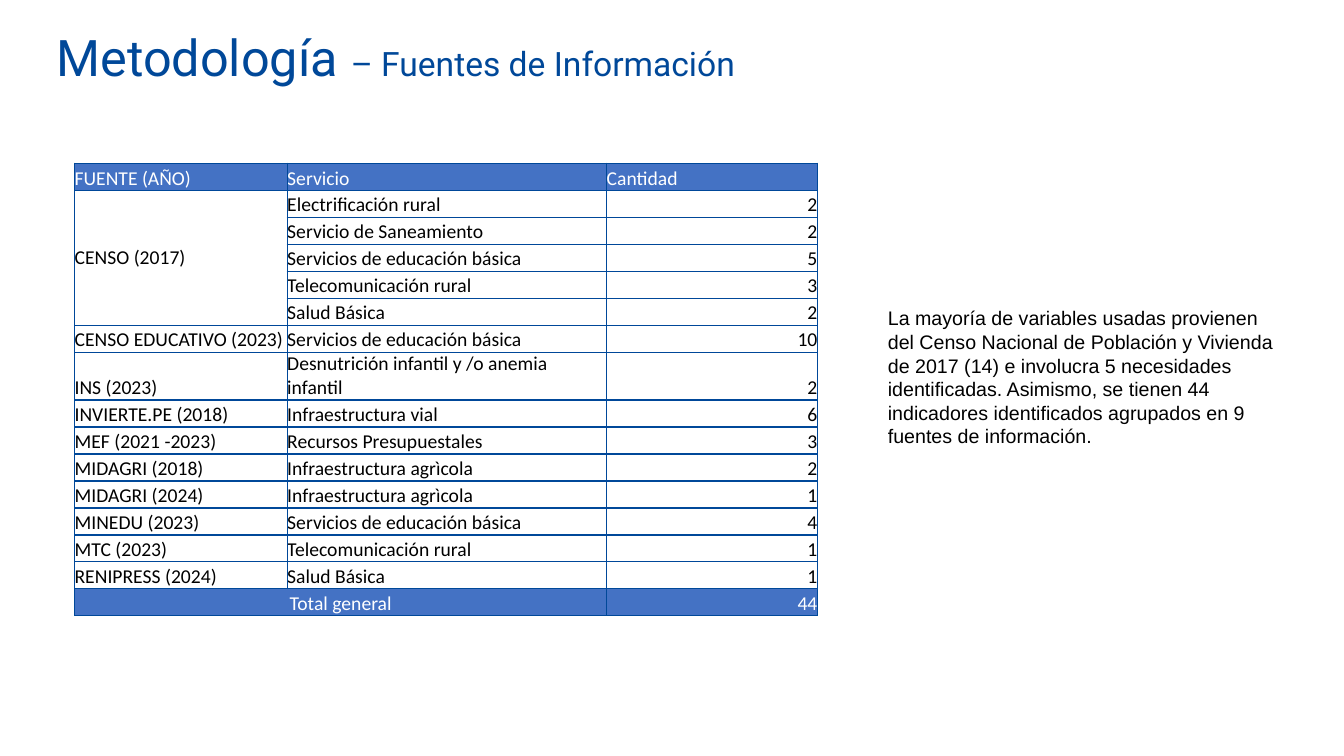
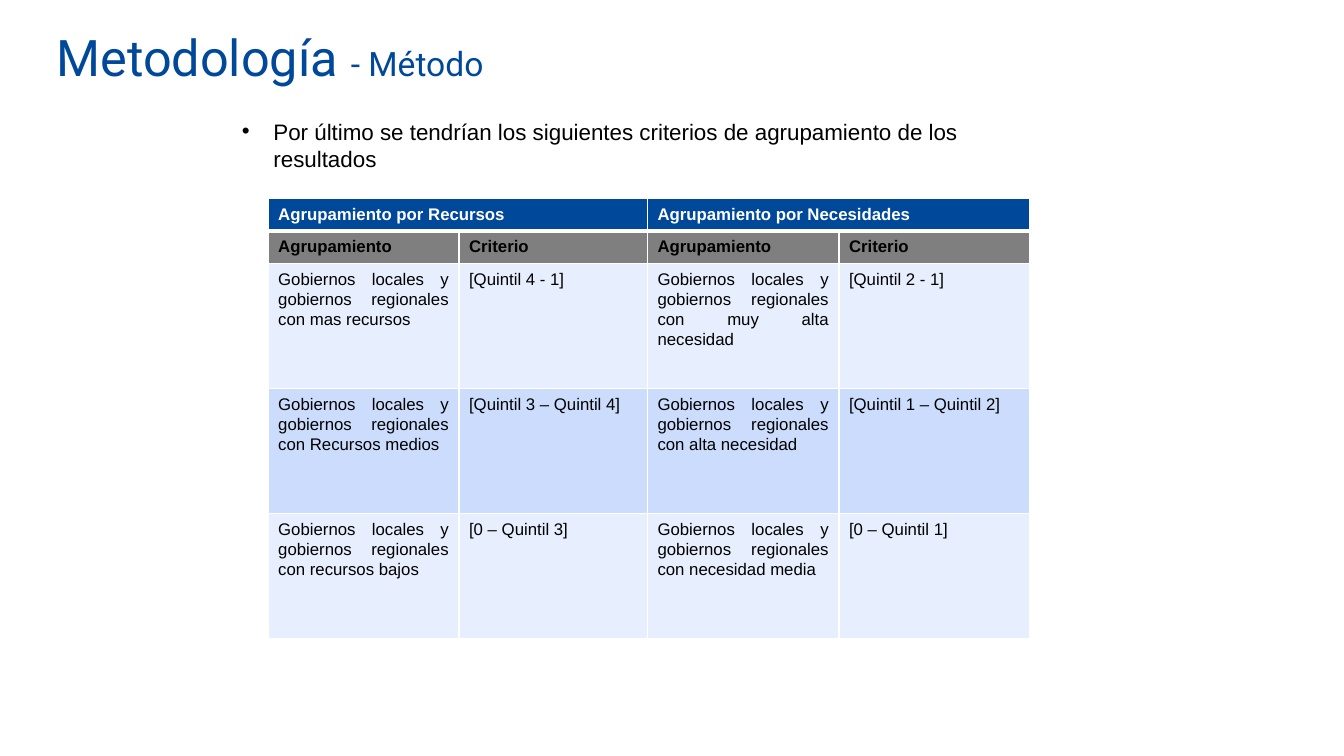
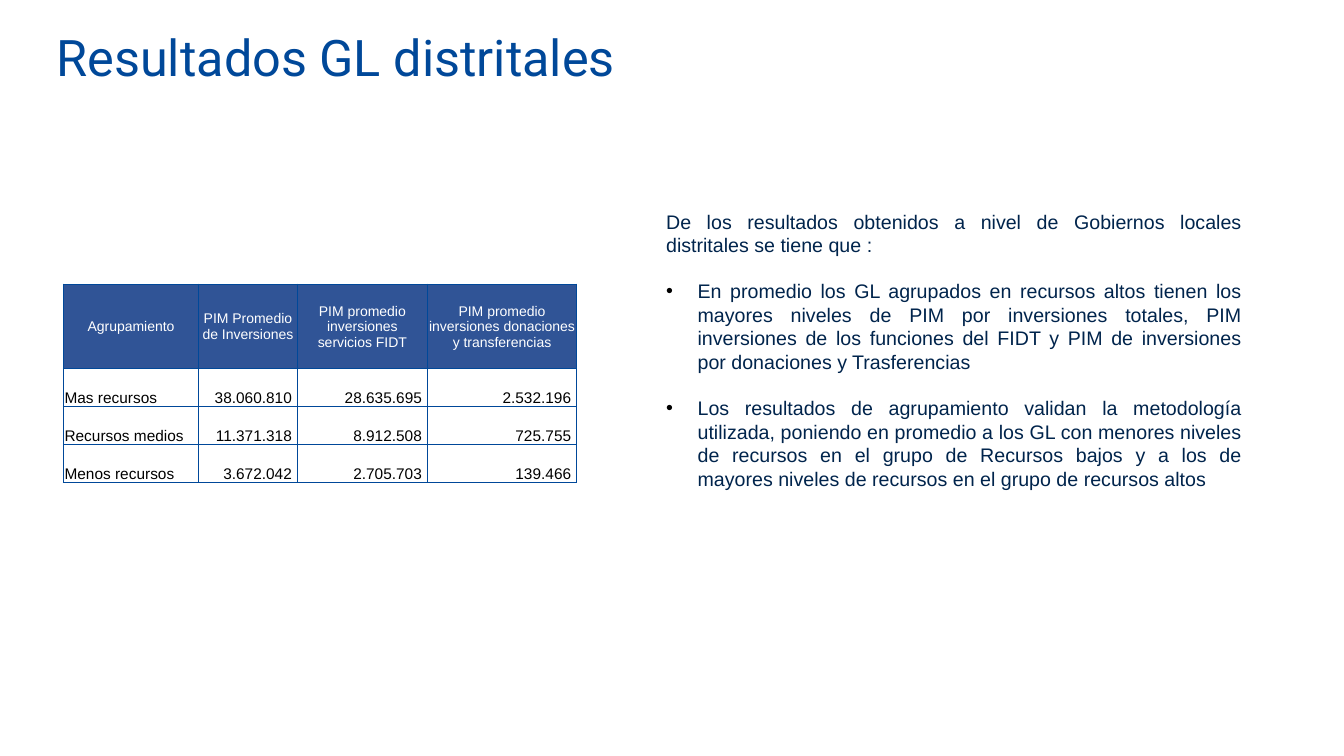
import pptx
import pptx.util
import pptx.dml.color
import pptx.enum.text
import pptx.oxml
import pptx.oxml.ns

Pt = pptx.util.Pt
ALIGN = pptx.enum.text.PP_ALIGN
ANCHOR = pptx.enum.text.MSO_ANCHOR
AUTOSIZE = pptx.enum.text.MSO_AUTO_SIZE

BLUE, NAVY, BLACK, WHITE = "004899", "00244C", "000000", "FFFFFF"
ALIGNS = {"l": ALIGN.LEFT, "c": ALIGN.CENTER, "r": ALIGN.RIGHT, "j": ALIGN.JUSTIFY}
TITLE_PLACE = (33.1, 11.5, 861.1, 56.9)
BULLET_INDENT = 22.5

SOURCES = {
    "place": (53.3, 116.6),
    "columns": (151.9, 228.2, 150.5),
    "heights": [19.3] * 7 + [34.2] + [19.3] * 8,
    "merges": [((1, 0), (5, 0)), ((15, 0), (15, 1))],
    "margins": (0, 0, 0, 0),
    "font": {"name": "Calibri", "size": Pt(14)},
    "border": BLUE,
    "styles": {
        "header": {"fill": "4472C4", "color": WHITE, "aligns": "lll", "anchor": ANCHOR.BOTTOM},
        "merged": {"color": BLACK, "aligns": "llr", "anchor": ANCHOR.BOTTOM, "first": ANCHOR.MIDDLE},
        "body": {"color": BLACK, "aligns": "llr", "anchor": ANCHOR.BOTTOM},
        "total": {"fill": "4472C4", "color": WHITE, "aligns": "clr", "anchor": ANCHOR.BOTTOM},
    },
    "rows": [
        ("header", "FUENTE (AÑO)", "Servicio", "Cantidad"),
        ("merged", "CENSO (2017)", "Electrificación rural", "2"),
        ("body", "", "Servicio de Saneamiento", "2"),
        ("body", "", "Servicios de educación básica", "5"),
        ("body", "", "Telecomunicación rural", "3"),
        ("body", "", "Salud Básica", "2"),
        ("body", "CENSO EDUCATIVO (2023)", "Servicios de educación básica", "10"),
        ("body", "INS (2023)", "Desnutrición infantil y /o anemia infantil", "2"),
        ("body", "INVIERTE.PE (2018)", "Infraestructura vial", "6"),
        ("body", "MEF (2021 -2023)", "Recursos Presupuestales", "3"),
        ("body", "MIDAGRI (2018)", "Infraestructura agrìcola", "2"),
        ("body", "MIDAGRI (2024)", "Infraestructura agrìcola", "1"),
        ("body", "MINEDU (2023)", "Servicios de educación básica", "4"),
        ("body", "MTC (2023)", "Telecomunicación rural", "1"),
        ("body", "RENIPRESS (2024)", "Salud Básica", "1"),
        ("total", "Total general", "", "44"),
    ],
}

CRITERIA = {
    "place": (191.5, 141.8),
    "columns": (136.4, 134.6, 136.8, 136.1),
    "heights": [23.2] * 2 + [89.4] * 3,
    "merges": [((0, 0), (0, 1)), ((0, 2), (0, 3))],
    "margins": (7.2, 3.6, 7.2, 3.6),
    "font": {"name": "Arial", "size": Pt(12)},
    "paragraph": {"line_spacing": 1.07, "space_after": Pt(8)},
    "border": WHITE,
    "styles": {
        "header": {"fill": BLUE, "color": WHITE, "bold": True, "aligns": "jjjj", "bottom": 3},
        "subheader": {"fill": "7F7F7F", "color": BLACK, "bold": True, "aligns": "jjjj", "top": 3},
        "light": {"fill": "E7EEFE", "color": BLACK, "aligns": "jjjj"},
        "dark": {"fill": "CBDCFC", "color": BLACK, "aligns": "jjjj"},
    },
    "rows": [
        ("header", "Agrupamiento por Recursos", "", "Agrupamiento por Necesidades", ""),
        ("subheader", "Agrupamiento", "Criterio", "Agrupamiento", "Criterio"),
        ("light", "Gobiernos locales y gobiernos regionales con mas recursos", "[Quintil 4 - 1]",
         "Gobiernos locales y gobiernos regionales con muy alta necesidad", "[Quintil 2 - 1]"),
        ("dark", "Gobiernos locales y gobiernos regionales con Recursos medios", "[Quintil 3 – Quintil 4]",
         "Gobiernos locales y gobiernos regionales con alta necesidad", "[Quintil 1 – Quintil 2]"),
        ("light", "Gobiernos locales y gobiernos regionales con recursos bajos", "[0 – Quintil 3]",
         "Gobiernos locales y gobiernos regionales con necesidad media", "[0 – Quintil 1]"),
    ],
}

BUDGETS = {
    "place": (45.4, 203),
    "columns": (96.4, 70.6, 92.9, 106.6),
    "heights": [60.5] + [27.1] * 3,
    "merges": [],
    "margins": (0.7, 0.7, 0.7, 0),
    "font": {"name": "Arial", "size": Pt(11)},
    "border": BLUE,
    "styles": {
        "header": {"fill": "305496", "color": WHITE, "size": Pt(10), "aligns": "cccc", "anchor": ANCHOR.MIDDLE},
        "body": {"color": BLACK, "aligns": "lrrr", "anchor": ANCHOR.BOTTOM, "right_margin": 3.8},
    },
    "rows": [
        ("header", "Agrupamiento", "PIM Promedio de Inversiones", "PIM promedio inversiones servicios FIDT",
         "PIM promedio inversiones donaciones y transferencias"),
        ("body", "Mas recursos", "38.060.810", "28.635.695", "2.532.196"),
        ("body", "Recursos medios", "11.371.318", "8.912.508", "725.755"),
        ("body", "Menos recursos", "3.672.042", "2.705.703", "139.466"),
    ],
}

SLIDES = [
    {
        "title": [("Metodología ", 36), ("– Fuentes de Información", 24)],
        "table": SOURCES,
        "text": {
            "place": (627.1, 215.3, 296.6, 108.7), "inset": (7.2, 3.6), "size": 14, "color": BLACK, "align": "l",
            "paragraphs": [
                (False, "La mayoría de variables usadas provienen del Censo Nacional de Población y Vivienda "
                        "de 2017 (14) e involucra 5 necesidades identificadas. Asimismo, se tienen 44 indicadores "
                        "identificados agrupados en 9 fuentes de información."),
            ],
        },
    },
    {
        "title": [("Metodología ", 36), ("- Método", 24)],
        "table": CRITERIA,
        "text": {
            "place": (172.8, 84.2, 543.6, 38.9), "inset": (0, 0), "size": 16, "color": BLACK, "align": "l",
            "paragraphs": [
                (True, "Por último se tendrían los siguientes criterios de agrupamiento de los resultados"),
            ],
        },
    },
    {
        "title": [("Resultados GL distritales", 36)],
        "table": BUDGETS,
        "text": {
            "place": (468.7, 146.2, 425.5, 227.5), "inset": (7.2, 3.6), "size": 14, "color": NAVY, "align": "j",
            "gap": 16.1,
            "paragraphs": [
                (False, "De los resultados obtenidos a nivel de Gobiernos locales distritales se tiene que :"),
                (True, "En promedio los GL agrupados en recursos altos tienen los mayores niveles de PIM por "
                       "inversiones totales, PIM inversiones de los funciones del FIDT y PIM de inversiones por "
                       "donaciones y Trasferencias"),
                (True, "Los resultados de agrupamiento validan la metodología utilizada, poniendo en promedio a "
                       "los GL con menores niveles de recursos en el grupo de Recursos bajos y a los de mayores "
                       "niveles de recursos en el grupo de recursos altos"),
            ],
        },
    },
]


def rgb(value):
    return pptx.dml.color.RGBColor.from_string(value)


def apply(target, values):
    for name, value in values.items():
        setattr(target, name, value)


def element(markup):
    return pptx.oxml.parse_xml(markup.replace(">", " " + pptx.oxml.ns.nsdecls("a") + ">", 1))


def write(paragraph, text, color, font):
    run = paragraph.add_run()
    run.text = text
    apply(run.font, font)
    run.font.color.rgb = rgb(color)


def add_title(slide, parts):
    title = slide.shapes.title
    apply(title, dict(zip(("left", "top", "width", "height"), map(Pt, TITLE_PLACE))))
    apply(title.text_frame, {
        "auto_size": AUTOSIZE.NONE, "word_wrap": True, "vertical_anchor": ANCHOR.MIDDLE,
        "margin_left": Pt(7.2), "margin_right": Pt(7.2), "margin_top": Pt(3.6), "margin_bottom": Pt(3.6),
    })
    paragraph = title.text_frame.paragraphs[0]
    paragraph.alignment = ALIGN.LEFT
    for text, size in parts:
        write(paragraph, text, BLUE, {"name": "Roboto", "size": Pt(size)})


def add_bullet(paragraph):
    properties = paragraph._p.get_or_add_pPr()
    properties.set("marL", str(Pt(BULLET_INDENT)))
    properties.set("indent", str(-Pt(BULLET_INDENT)))
    for markup in (f'<a:buClr><a:srgbClr val="{BLACK}"/></a:buClr>',
                   '<a:buFont typeface="Arial"></a:buFont>',
                   '<a:buChar char="•"></a:buChar>'):
        properties.append(element(markup))


def add_text(slide, content):
    frame = slide.shapes.add_textbox(*map(Pt, content["place"])).text_frame
    side, edge = map(Pt, content["inset"])
    apply(frame, {"word_wrap": True, "margin_left": side, "margin_right": side,
                  "margin_top": edge, "margin_bottom": edge})
    for index, (bulleted, text) in enumerate(content["paragraphs"]):
        paragraph = frame.add_paragraph() if index else frame.paragraphs[0]
        paragraph.alignment = ALIGNS[content["align"]]
        if index:
            paragraph.space_before = Pt(content["gap"])
        if bulleted:
            add_bullet(paragraph)
        write(paragraph, text, content["color"], {"name": "Arial", "size": Pt(content["size"])})


def add_borders(cell, color, widths):
    properties = cell._tc.get_or_add_tcPr()
    for index, (side, width) in enumerate(zip("LRTB", widths)):
        properties.insert(index, element(
            f'<a:ln{side}><a:solidFill><a:srgbClr val="{color}"/></a:solidFill></a:ln{side}>'))
        properties[index].set("w", str(Pt(width)))


def fill_cell(cell, text, column, content, style):
    left, top, right, bottom = content["margins"]
    if column:
        right = style.get("right_margin", right)
    anchor = style.get("anchor", ANCHOR.TOP)
    apply(cell, {
        "margin_left": Pt(left), "margin_top": Pt(top), "margin_right": Pt(right), "margin_bottom": Pt(bottom),
        "vertical_anchor": anchor if column else style.get("first", anchor),
    })
    if "fill" in style:
        cell.fill.solid()
        cell.fill.fore_color.rgb = rgb(style["fill"])
    else:
        cell.fill.background()
    add_borders(cell, content["border"], (1, 1, style.get("top", 1), style.get("bottom", 1)))
    if text:
        paragraph = cell.text_frame.paragraphs[0]
        apply(paragraph, {"alignment": ALIGNS[style["aligns"][column]], **content.get("paragraph", {})})
        font = {**content["font"], "bold": style.get("bold", False)}
        font["size"] = style.get("size", font["size"])
        write(paragraph, text, style["color"], font)


def add_table(slide, content):
    columns, heights = content["columns"], content["heights"]
    place = (*content["place"], sum(columns), sum(heights))
    table = slide.shapes.add_table(len(heights), len(columns), *map(Pt, place)).table
    apply(table, {"first_row": False, "horz_banding": False})
    for column, width in zip(table.columns, columns):
        column.width = Pt(width)
    for row, height in zip(table.rows, heights):
        row.height = Pt(height)
    for start, end in content["merges"]:
        table.cell(*start).merge(table.cell(*end))
    for row, (style, *texts) in enumerate(content["rows"]):
        for column, text in enumerate(texts):
            fill_cell(table.cell(row, column), text, column, content, content["styles"][style])


def main():
    deck = pptx.Presentation()
    apply(deck, {"slide_width": Pt(960), "slide_height": Pt(540)})
    for content in SLIDES:
        slide = deck.slides.add_slide(deck.slide_layouts[5])
        add_title(slide, content["title"])
        add_table(slide, content["table"])
        add_text(slide, content["text"])
    deck.save("out.pptx")


if __name__ == "__main__":
    main()
